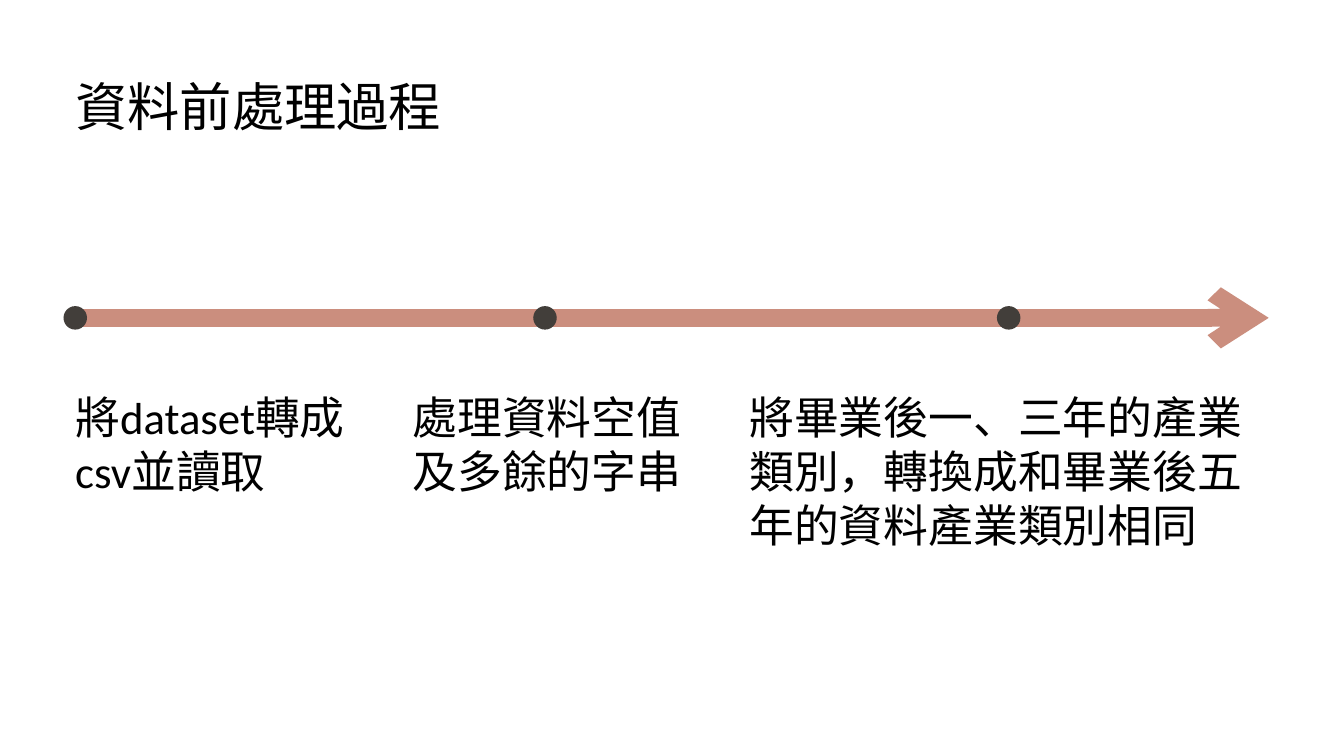
from dataclasses import dataclass

from lxml.etree import SubElement
from pptx import Presentation
from pptx.dml.color import RGBColor
from pptx.enum.shapes import MSO_CONNECTOR, MSO_SHAPE
from pptx.enum.text import MSO_ANCHOR, MSO_AUTO_SIZE, PP_ALIGN
from pptx.oxml.ns import qn
from pptx.shapes.base import BaseShape
from pptx.slide import Slide
from pptx.util import Inches, Pt

COLORS = {"arrow": "CB8E7E", "dot": "423E3A", "text": "000000"}
FONT = "Calibri"
LEFT, RIGHT = 1.12, 18.88
TIMELINE_Y = 4.73
DOT_SIZE = 0.35
STEP_TOP = 5.8


@dataclass
class Step:
    text: str
    dot_x: float
    left: float
    width: float
    height: float


STEPS = [
    Step("將dataset轉成csv並讀取", LEFT, LEFT, 4.46, 1.58),
    Step("處理資料空值及多餘的字串", 8.11, 6.14, 4.46, 1.58),
    Step("將畢業後一、三年的產業類別，轉換成和畢業後五年的資料產業類別相同",
         15.01, 11.15, 7.72, 2.38),
]


def color(name: str) -> RGBColor:
    return RGBColor.from_string(COLORS[name])


def write(shape: BaseShape, text: str, size: float) -> None:
    frame = shape.text_frame
    frame.text = text
    frame.word_wrap = True
    frame.auto_size = MSO_AUTO_SIZE.NONE
    frame.vertical_anchor = MSO_ANCHOR.TOP
    frame.margin_left = frame.margin_right = 0
    frame.margin_top = frame.margin_bottom = 0
    paragraph = frame.paragraphs[0]
    paragraph.alignment = PP_ALIGN.LEFT
    paragraph.line_spacing = Pt(size * 1.2)
    font = paragraph.runs[0].font
    font.name = FONT
    font.size = Pt(size)
    font.color.rgb = color("text")


def add_title(slide: Slide, text: str) -> None:
    title = slide.shapes.title
    title.left, title.top = Inches(LEFT), Inches(1.11)
    title.width, title.height = Inches(5.91), Inches(0.94)
    write(title, text, 56)


def add_timeline(slide: Slide) -> None:
    timeline = slide.shapes.add_connector(
        MSO_CONNECTOR.STRAIGHT,
        Inches(LEFT), Inches(TIMELINE_Y), Inches(RIGHT), Inches(TIMELINE_Y))
    timeline.line.color.rgb = color("arrow")
    timeline.line.width = Pt(18.75)
    SubElement(timeline.line._get_or_add_ln(), qn("a:tailEnd"), type="arrow")
    SubElement(timeline._element.spPr, qn("a:effectLst"))


def add_step(slide: Slide, step: Step) -> None:
    dot = slide.shapes.add_shape(
        MSO_SHAPE.OVAL,
        Inches(step.dot_x - DOT_SIZE / 2), Inches(TIMELINE_Y - DOT_SIZE / 2),
        Inches(DOT_SIZE), Inches(DOT_SIZE))
    dot.shadow.inherit = False
    dot.fill.solid()
    dot.fill.fore_color.rgb = color("dot")
    dot.line.fill.background()
    description = slide.shapes.add_textbox(
        Inches(step.left), Inches(STEP_TOP), Inches(step.width), Inches(step.height))
    write(description, step.text, 48)


def main() -> None:
    presentation = Presentation()
    presentation.slide_width = Inches(20)
    presentation.slide_height = Inches(11.25)
    slide = presentation.slides.add_slide(presentation.slide_layouts[5])
    add_title(slide, "資料前處理過程")
    add_timeline(slide)
    for step in STEPS:
        add_step(slide, step)
    presentation.save("out.pptx")


if __name__ == "__main__":
    main()
